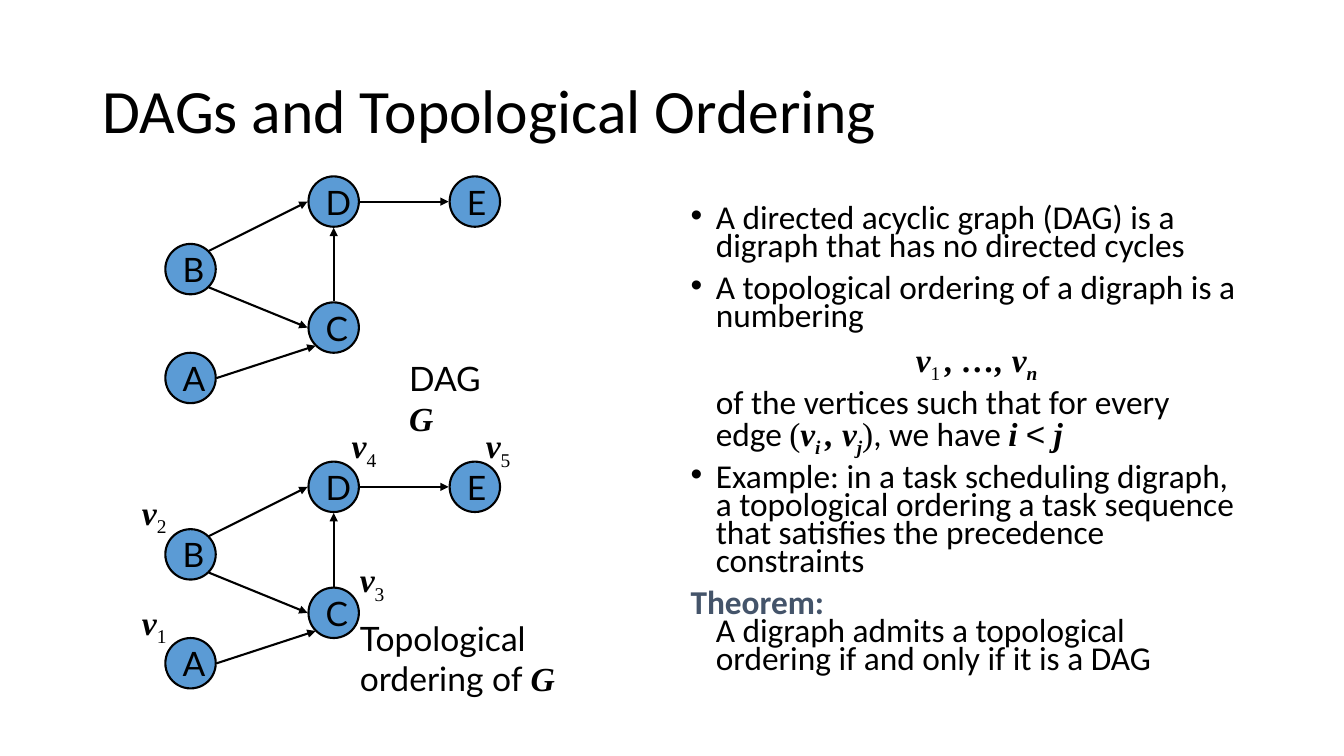
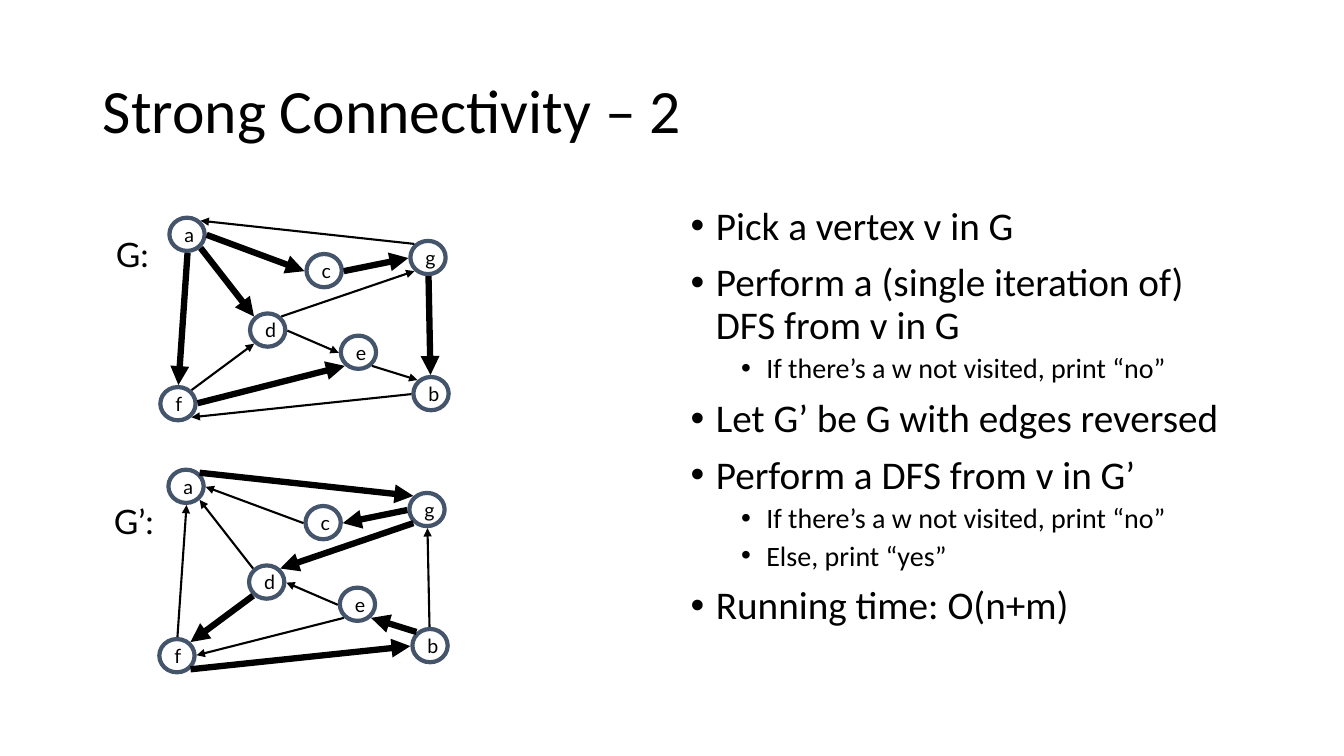
from collections import namedtuple
from math import cos, radians, sin

from lxml.etree import SubElement
from pptx import Presentation
from pptx.dml.color import RGBColor
from pptx.enum.shapes import MSO_CONNECTOR, MSO_SHAPE
from pptx.enum.text import MSO_ANCHOR, MSO_AUTO_SIZE, PP_ALIGN
from pptx.oxml.ns import qn
from pptx.util import Inches, Pt

BLACK = RGBColor(0x00, 0x00, 0x00)
WHITE = RGBColor(0xFF, 0xFF, 0xFF)
BLUE = RGBColor(0x5B, 0x9B, 0xD5)
SLATE = RGBColor(0x44, 0x54, 0x6A)

Box = namedtuple("Box", "left top width height")
Look = namedtuple("Look", "width height gap fill outline weight size")

SLIDE_WIDTH, SLIDE_HEIGHT = 13.33, 7.5
TITLE_BOX = Box(0.92, 0.4, 11.5, 1.45)
BODY_BOX = Box(6.75, 2, 5.67, 4.76)
HANG = 0.25
THIN, BOLD = 1.5, 4.5

PLAIN = {"name": "Calibri", "bold": False, "italic": False}
LABEL = {**PLAIN, "name": "Lato"}
ROMAN = {**PLAIN, "name": "Times New Roman"}
MATH = {**ROMAN, "bold": True, "italic": True}
SIGN = {**PLAIN, "name": "Arial"}
HEADING = {**PLAIN, "bold": True, "color": SLATE}
DIGIT = {**ROMAN, "baseline": -25000}
INDEX = {**MATH, "baseline": -25000}

COMPASS = {name: radians(45 * step) for step, name in
           enumerate(("e", "se", "s", "sw", "w", "nw", "n", "ne"))}

DAG_LOOK = Look(0.5, 0.5, 0.01, BLUE, BLACK, 1.5, 24)
DAG_VERTICES = {"B": (0, 0.67), "A": (0, 1.75), "D": (1.42, 0),
                "C": (1.42, 1.25), "E": (2.82, 0)}
DAG_EDGES = [("B", "ne", "D", "w", THIN), ("B", "se", "C", "w", THIN),
             ("D", "e", "E", "w", THIN), ("C", "n", "D", "s", THIN),
             ("A", "e", "C", "sw", THIN)]
NUMBERING = {"1": (-0.33, 1.34), "2": (-0.33, 0.25), "3": (1.83, 0.92),
             "4": (1.75, -0.41), "5": (3.08, -0.41)}

DFS_LOOK = Look(0.35, 0.33, 0.02, WHITE, SLATE, 3, 14)
DFS_VERTICES = {"a": (0.09, 0), "d": (0.89, 0.95), "c": (1.45, 0.36),
                "b": (2.51, 1.58), "e": (1.79, 1.17), "f": (0, 1.68),
                "g": (2.48, 0.23)}
DFS_EDGES = [("a", "s", "f", "n", BOLD), ("a", "se", "d", "nw", BOLD),
             ("a", "e", "c", "w", BOLD), ("g", "nw", "a", "ne", THIN),
             ("c", "e", "g", "w", BOLD), ("g", "s", "b", "n", BOLD),
             ("d", "e", "e", "w", THIN), ("e", "se", "b", "nw", THIN),
             ("f", "ne", "d", "sw", THIN), ("f", "e", "e", "sw", BOLD),
             ("b", "w", "f", "se", THIN), ("d", "ne", "g", "sw", THIN)]
REVERSED_TREE = {"ga", "cg", "eb", "fd", "bf", "dg"}

DAG_POINTS = [
    ("bullet", [("A directed acyclic graph (DAG) is a digraph that has no "
                 "directed cycles", PLAIN)]),
    ("bullet", [("A topological ordering of a digraph is a numbering ", PLAIN)]),
    ("formula", [("v", MATH), ("1 ", DIGIT), (", …, v", MATH), ("n ", INDEX)]),
    ("continued", [("of the vertices such that for every edge ", PLAIN),
                   ("(", ROMAN), ("v", MATH), ("i ", INDEX), (", v", MATH),
                   ("j", INDEX), (")", ROMAN), (", we have ", PLAIN),
                   ("i ", MATH), ("<", SIGN), (" j", MATH)]),
    ("bullet", [("Example: in a task scheduling digraph, a topological "
                 "ordering a task sequence that satisfies the precedence "
                 "constraints", PLAIN)]),
    ("theorem", [("Theorem:", HEADING), ("\n", None),
                 ("A digraph admits a topological ordering if and only if "
                  "it is a DAG", PLAIN)]),
]
NOT_VISITED = ("nested", [("If there’s a w not visited, print “no”", PLAIN)])
DFS_POINTS = [
    ("bullet", [("Pick a vertex v in G", PLAIN)]),
    ("bullet", [("Perform a (single iteration of) DFS from v in G", PLAIN)]),
    NOT_VISITED,
    ("bullet", [("Let G’ be G with edges reversed", PLAIN)]),
    ("bullet", [("Perform a DFS from v in G’", PLAIN)]),
    NOT_VISITED,
    ("nested", [("Else, print “yes”", PLAIN)]),
    ("bullet", [("Running time: O(n+m)", PLAIN)]),
]


def assign(target, values):
    """Set each named attribute of the target."""
    for name, value in values.items():
        setattr(target, name, value)


def inches(box):
    """Turn a box into lengths for python-pptx."""
    return [Inches(round(length, 2)) for length in box]


def write(paragraph, pieces, size):
    """Add styled pieces of text to a paragraph."""
    for words, style in pieces:
        if style is None:
            paragraph.add_line_break()
            continue
        run = paragraph.add_run()
        run.text = words
        font = dict(style)
        run.font.color.rgb = font.pop("color", BLACK)
        baseline = font.pop("baseline", None)
        assign(run.font, {**font, "size": Pt(size)})
        if baseline:
            run.font._element.set("baseline", str(baseline))


def place(placeholder, box, anchor):
    """Move a placeholder into its box and return its text frame."""
    assign(placeholder, dict(zip(Box._fields, inches(box))))
    frame = placeholder.text_frame
    assign(frame, {"word_wrap": True, "auto_size": MSO_AUTO_SIZE.NONE,
                   "vertical_anchor": anchor})
    return frame


def indent(paragraph, role):
    """Set the margin, hanging indent and bullet of a list paragraph."""
    margin = 3 * HANG if role == "nested" else HANG
    hanging = 0 if role in ("formula", "continued") else -HANG
    properties = paragraph._p.get_or_add_pPr()
    properties.set("marL", str(Inches(margin)))
    properties.set("indent", str(Inches(hanging)))
    if role in ("bullet", "nested"):
        SubElement(properties, qn("a:buFont")).set("typeface", "Arial")
        SubElement(properties, qn("a:buChar")).set("char", "•")
    else:
        SubElement(properties, qn("a:buNone"))


def points(placeholder, box, items, size, spacing):
    """Fill the body placeholder with a list."""
    frame = place(placeholder, box, MSO_ANCHOR.TOP)
    for number, (role, pieces) in enumerate(items):
        paragraph = frame.add_paragraph() if number else frame.paragraphs[0]
        nested = role == "nested"
        centred = role == "formula"
        assign(paragraph, {
            "level": int(nested), "line_spacing": spacing,
            "space_before": Pt(5 if nested else 10),
            "alignment": PP_ALIGN.CENTER if centred else PP_ALIGN.LEFT})
        indent(paragraph, role)
        write(paragraph, pieces, 20 if nested else size)


def titled_slide(deck, title, items, size, spacing):
    """Add a slide with a title and a list on the right."""
    slide = deck.slides.add_slide(deck.slide_layouts[1])
    heading = place(slide.shapes.title, TITLE_BOX, MSO_ANCHOR.MIDDLE)
    assign(heading.paragraphs[0],
           {"alignment": PP_ALIGN.LEFT, "line_spacing": 0.9})
    write(heading.paragraphs[0], [(title, PLAIN)], 44)
    points(slide.placeholders[1], BODY_BOX, items, size, spacing)
    return slide


def caption(slide, box, pieces, wrap=False):
    """Write a label of a graph."""
    frame = slide.shapes.add_textbox(*inches(box)).text_frame
    frame.word_wrap = wrap
    write(frame.paragraphs[0], pieces, 24)


def vertex(slide, box, letter, look):
    """Draw one lettered vertex."""
    circle = slide.shapes.add_shape(MSO_SHAPE.OVAL, *inches(box))
    circle.shadow.inherit = False
    circle.fill.solid()
    circle.fill.fore_color.rgb = look.fill
    circle.line.color.rgb = look.outline
    circle.line.width = Pt(look.weight)
    frame = circle.text_frame
    assign(frame, {"word_wrap": True, "vertical_anchor": MSO_ANCHOR.MIDDLE})
    frame.paragraphs[0].alignment = PP_ALIGN.LEFT
    write(frame.paragraphs[0], [(letter, LABEL)], look.size)


def rim(box, side, gap):
    """Find the point just outside a vertex on the given compass side."""
    angle = COMPASS[side]
    return (box.left + box.width / 2 + (box.width / 2 + gap) * cos(angle),
            box.top + box.height / 2 + (box.height / 2 + gap) * sin(angle))


def edge(slide, start, end, weight, arrow_end):
    """Draw one directed edge."""
    arrow = slide.shapes.add_connector(MSO_CONNECTOR.STRAIGHT,
                                       *inches(start + end))
    arrow.line.color.rgb = BLACK
    arrow.line.width = Pt(weight)
    SubElement(arrow.get_or_add_ln(), qn(arrow_end)).set("type", "triangle")
    SubElement(arrow._element.spPr, qn("a:effectLst"))


def graph(slide, box, vertices, edges, look, arrow_end="a:tailEnd"):
    """Draw a directed graph from the corner of its box."""
    spots = {letter: Box(box.left + x, box.top + y, look.width, look.height)
             for letter, (x, y) in vertices.items()}
    for letter, spot in spots.items():
        vertex(slide, spot, letter, look)
    for source, leaving, target, entering, weight in edges:
        edge(slide, rim(spots[source], leaving, look.gap),
             rim(spots[target], entering, look.gap), weight, arrow_end)


def ordering_slide(deck):
    """Build the slide on topological ordering."""
    slide = titled_slide(deck, "DAGs and Topological Ordering",
                         DAG_POINTS, 23.8, 0.7)
    plain = Box(1.64, 1.75, 3.32, 2.25)
    numbered = plain._replace(top=plain.top + 2.83)
    for region in (plain, numbered):
        graph(slide, region, DAG_VERTICES, DAG_EDGES, DAG_LOOK)
    caption(slide, Box(plain.left + 2.32, plain.top + 1.75, 1.19, 0.5),
            [("DAG ", LABEL), ("G", MATH)], wrap=True)
    caption(slide, Box(numbered.left + 1.83, numbered.top + 1.5, 2.28, 0.91),
            [("Topological ordering of ", LABEL), ("G", MATH)], wrap=True)
    for number, (x, y) in NUMBERING.items():
        caption(slide, Box(numbered.left + x, numbered.top + y, 0.46, 0.5),
                [("v", MATH), (number, DIGIT)])


def connectivity_slide(deck):
    """Build the slide on strong connectivity."""
    slide = titled_slide(deck, "Strong Connectivity – 2", DFS_POINTS, 28, 0.9)
    forward = Box(1.59, 2.16, 2.86, 2.01)
    backward = forward._replace(left=forward.left - 0.01,
                                top=forward.top + 2.5)
    reversed_edges = [
        (*ends, BOLD if ends[0] + ends[2] in REVERSED_TREE else THIN)
        for *ends, _ in DFS_EDGES]
    caption(slide, Box(forward.left - 0.54, forward.top + 0.11, 0.54, 0.5),
            [("G:", LABEL)])
    caption(slide, Box(backward.left - 0.55, backward.top + 0.26, 0.61, 0.5),
            [("G’:", LABEL)])
    graph(slide, forward, DFS_VERTICES, DFS_EDGES, DFS_LOOK)
    graph(slide, backward, DFS_VERTICES, reversed_edges, DFS_LOOK, "a:headEnd")


def build():
    """Build and save the presentation."""
    deck = Presentation()
    assign(deck, {"slide_width": Inches(SLIDE_WIDTH),
                  "slide_height": Inches(SLIDE_HEIGHT)})
    ordering_slide(deck)
    connectivity_slide(deck)
    deck.save("out.pptx")


build()
